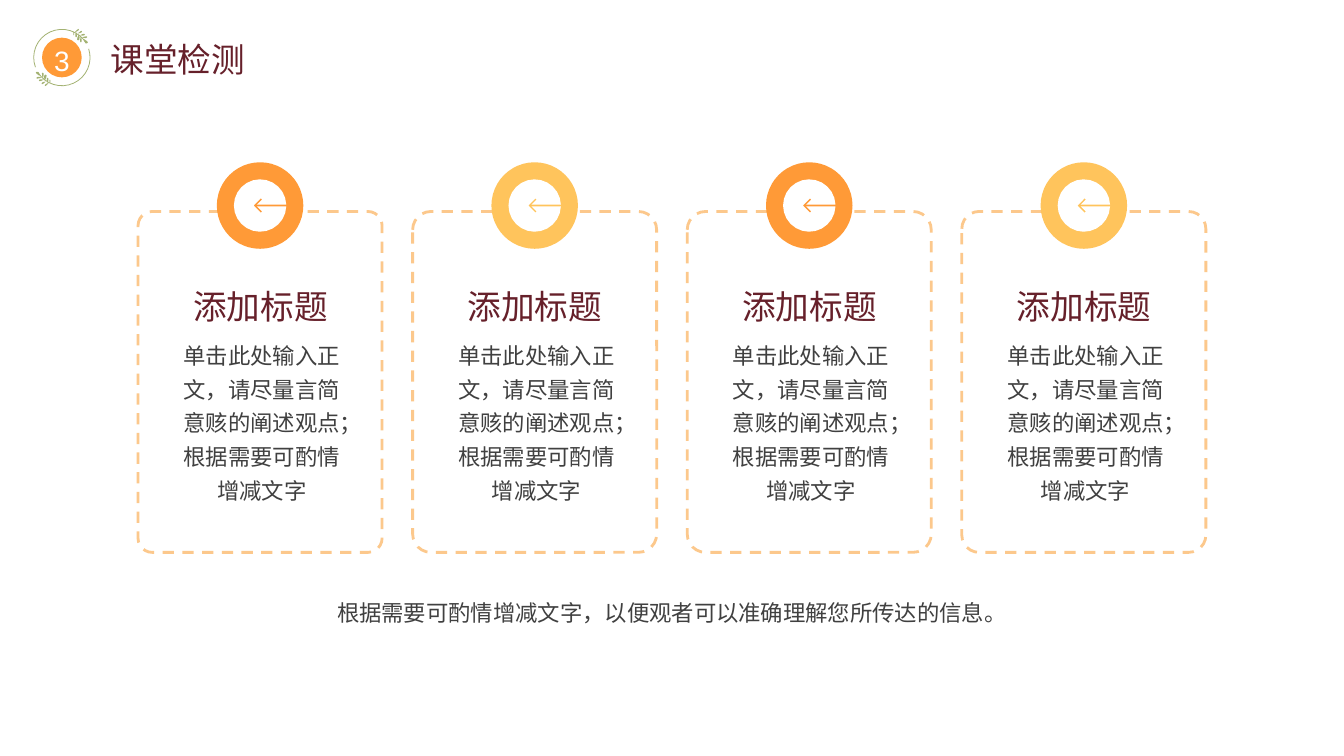
import math
from dataclasses import dataclass
from typing import NamedTuple

import pptx
import pptx.dml.color
import pptx.enum.dml
import pptx.enum.shapes
import pptx.enum.text
import pptx.util

Cm = pptx.util.Cm
Color = pptx.dml.color.RGBColor
Preset = pptx.enum.shapes.MSO_SHAPE
Align = pptx.enum.text.PP_ALIGN


class Point(NamedTuple):
    x: float
    y: float


class Box(NamedTuple):
    left: float
    top: float
    width: float
    height: float


class Leaf(NamedTuple):
    tip: Point
    shoulder: Point
    crown: Point


@dataclass(frozen=True)
class TextStyle:
    size: int
    color: Color
    align: Align = Align.LEFT
    leading: int | None = None
    wrap: bool = False


@dataclass(frozen=True)
class Theme:
    font: str = "Arial"
    orange: Color = Color(0xFF, 0x9A, 0x37)
    yellow: Color = Color(0xFF, 0xC4, 0x5C)
    border: Color = Color(0xFC, 0xC8, 0x8C)
    leaf: Color = Color(0xA3, 0xB2, 0x72)
    white: Color = Color(0xFF, 0xFF, 0xFF)
    title: TextStyle = TextStyle(24, Color(0x66, 0x20, 0x2A))
    body: TextStyle = TextStyle(16, Color(0x40, 0x40, 0x40), Align.CENTER, 24, True)
    number: TextStyle = TextStyle(20, Color(0xFF, 0xFF, 0xFF), Align.CENTER)


@dataclass(frozen=True)
class Card:
    title: str
    body: str
    ring_color: Color
    corner: float


THEME = Theme()
TITLE = "添加标题"
BODY = "单击此处输入正文，请尽量言简意赅的阐述观点；根据需要可酌情增减文字"
CARDS = [
    Card(TITLE, BODY, THEME.orange, 0.058),
    Card(TITLE, BODY, THEME.yellow, 0.075),
    Card(TITLE, BODY, THEME.orange, 0.075),
    Card(TITLE, BODY, THEME.yellow, 0.071),
]
FIRST_CARD_LEFT = 3.48
CARD_PITCH = 6.92
CARD_WIDTH = 6.15
RING_Y = 5.18
BADGE = Point(1.56, 1.45)
ARROW_NOTCH = [
    Point(-0.08, -0.02), Point(0.05, -0.15), Point(0.02, -0.18), Point(-0.16, 0),
    Point(0.02, 0.18), Point(0.05, 0.15), Point(-0.08, 0.02),
]
LEAVES = [
    Leaf(Point(-0.56, 0.46), Point(-0.71, 0.38), Point(-0.64, 0.36)),
    Leaf(Point(-0.48, 0.53), Point(-0.53, 0.38), Point(-0.48, 0.38)),
    Leaf(Point(-0.51, 0.51), Point(-0.61, 0.46), Point(-0.64, 0.51)),
    Leaf(Point(-0.46, 0.56), Point(-0.58, 0.53), Point(-0.58, 0.58)),
    Leaf(Point(-0.43, 0.58), Point(-0.48, 0.43), Point(-0.41, 0.43)),
    Leaf(Point(-0.41, 0.61), Point(-0.51, 0.61), Point(-0.51, 0.66)),
    Leaf(Point(-0.36, 0.64), Point(-0.41, 0.51), Point(-0.36, 0.51)),
    Leaf(Point(-0.33, 0.64), Point(-0.43, 0.66), Point(-0.43, 0.71)),
    Leaf(Point(-0.30, 0.66), Point(-0.33, 0.56), Point(-0.30, 0.56)),
]


def add_text(shapes, box: Box, text: str, style: TextStyle) -> None:
    frame = shapes.add_textbox(*map(Cm, box)).text_frame
    frame.word_wrap = style.wrap
    frame.auto_size = pptx.enum.text.MSO_AUTO_SIZE.SHAPE_TO_FIT_TEXT
    frame.text = text
    paragraph = frame.paragraphs[0]
    paragraph.alignment = style.align
    if style.leading:
        paragraph.line_spacing = pptx.util.Pt(style.leading)
    font = paragraph.runs[0].font
    font.name = THEME.font
    font.size = pptx.util.Pt(style.size)
    font.color.rgb = style.color


def paint(shape, color: Color) -> None:
    shape.shadow.inherit = False
    shape.fill.solid()
    shape.fill.fore_color.rgb = color
    shape.line.fill.background()


def add_disc(shapes, center: Point, radius: float, color: Color) -> None:
    box = Box(center.x - radius, center.y - radius, 2 * radius, 2 * radius)
    paint(shapes.add_shape(Preset.OVAL, *map(Cm, box)), color)


def add_outlines(
    shapes, center: Point, contours: list[list[Point]], color: Color
) -> None:
    placed = [[(Cm(center.x + x), Cm(center.y + y)) for x, y in c] for c in contours]
    builder = shapes.build_freeform(*placed[0][0])
    for index, points in enumerate(placed):
        if index:
            builder.move_to(*points[0])
        builder.add_line_segments(points[1:], close=True)
    paint(builder.convert_to_shape(), color)


def arc(radius: float, start: float, end: float, steps: int) -> list[Point]:
    angles = [math.radians(start + (end - start) * i / steps) for i in range(steps + 1)]
    return [Point(radius * math.cos(a), radius * math.sin(a)) for a in angles]


def band(start: float, end: float) -> list[Point]:
    return arc(0.72, start, end, 16) + arc(0.70, end, start, 16)


def curve(a: Point, b: Point, c: Point, d: Point, steps: int = 4) -> list[Point]:
    def blend(t: float, values: tuple) -> float:
        weights = ((1 - t) ** 3, 3 * t * (1 - t) ** 2, 3 * t * t * (1 - t), t ** 3)
        return sum(w * v for w, v in zip(weights, values))

    axes = list(zip(a, b, c, d))
    return [Point(*(blend(i / steps, axis) for axis in axes)) for i in range(steps + 1)]


def leaf_outline(leaf: Leaf, side: int) -> list[Point]:
    tip, shoulder, crown = (Point(side * p.x, side * p.y) for p in leaf)
    far_shoulder = Point(2 * crown.x - shoulder.x, 2 * crown.y - shoulder.y)
    return curve(tip, tip, shoulder, crown) + curve(crown, far_shoulder, tip, tip)[1:]


def add_card(shapes, card: Card, left: float) -> None:
    frame = shapes.add_shape(
        Preset.ROUNDED_RECTANGLE, *map(Cm, Box(left, 5.33, CARD_WIDTH, 8.59))
    )
    frame.adjustments[0] = card.corner
    frame.shadow.inherit = False
    frame.fill.background()
    frame.line.color.rgb = THEME.border
    frame.line.width = pptx.util.Pt(2)
    frame.line.dash_style = pptx.enum.dml.MSO_LINE.DASH
    center = Point(left + CARD_WIDTH / 2, RING_Y)
    add_disc(shapes, center, 1.09, card.ring_color)
    add_outlines(shapes, center, [arc(0.66, 2, 358, 24) + ARROW_NOTCH], THEME.white)
    add_text(shapes, Box(left + 1.14, 7.09, 4.01, 1.27), card.title, THEME.title)
    add_text(shapes, Box(left + 0.86, 8.33, 4.52, 4.52), card.body, THEME.body)


def add_heading(shapes, number: str, title: str) -> None:
    add_text(shapes, Box(2.54, 0.86, 3.94, 1.27), title, THEME.title)
    add_outlines(shapes, BADGE, [band(149, -18), band(160, 330)], THEME.leaf)
    for side in (1, -1):
        sprig = [leaf_outline(leaf, side) for leaf in LEAVES]
        add_outlines(shapes, BADGE, sprig, THEME.leaf)
    add_disc(shapes, BADGE, 0.5, THEME.orange)
    add_text(shapes, Box(1.09, 0.97, 0.94, 1.12), number, THEME.number)


def main() -> None:
    deck = pptx.Presentation()
    deck.slide_width, deck.slide_height = Cm(33.87), Cm(19.05)
    shapes = deck.slides.add_slide(deck.slide_layouts[6]).shapes
    for index, card in enumerate(CARDS):
        add_card(shapes, card, FIRST_CARD_LEFT + index * CARD_PITCH)
    summary = "根据需要可酌情增减文字，以便观者可以准确理解您所传达的信息。"
    add_text(shapes, Box(6.07, 14.81, 21.74, 1.04), summary, THEME.body)
    add_heading(shapes, "3", "课堂检测")
    deck.save("out.pptx")


if __name__ == "__main__":
    main()
